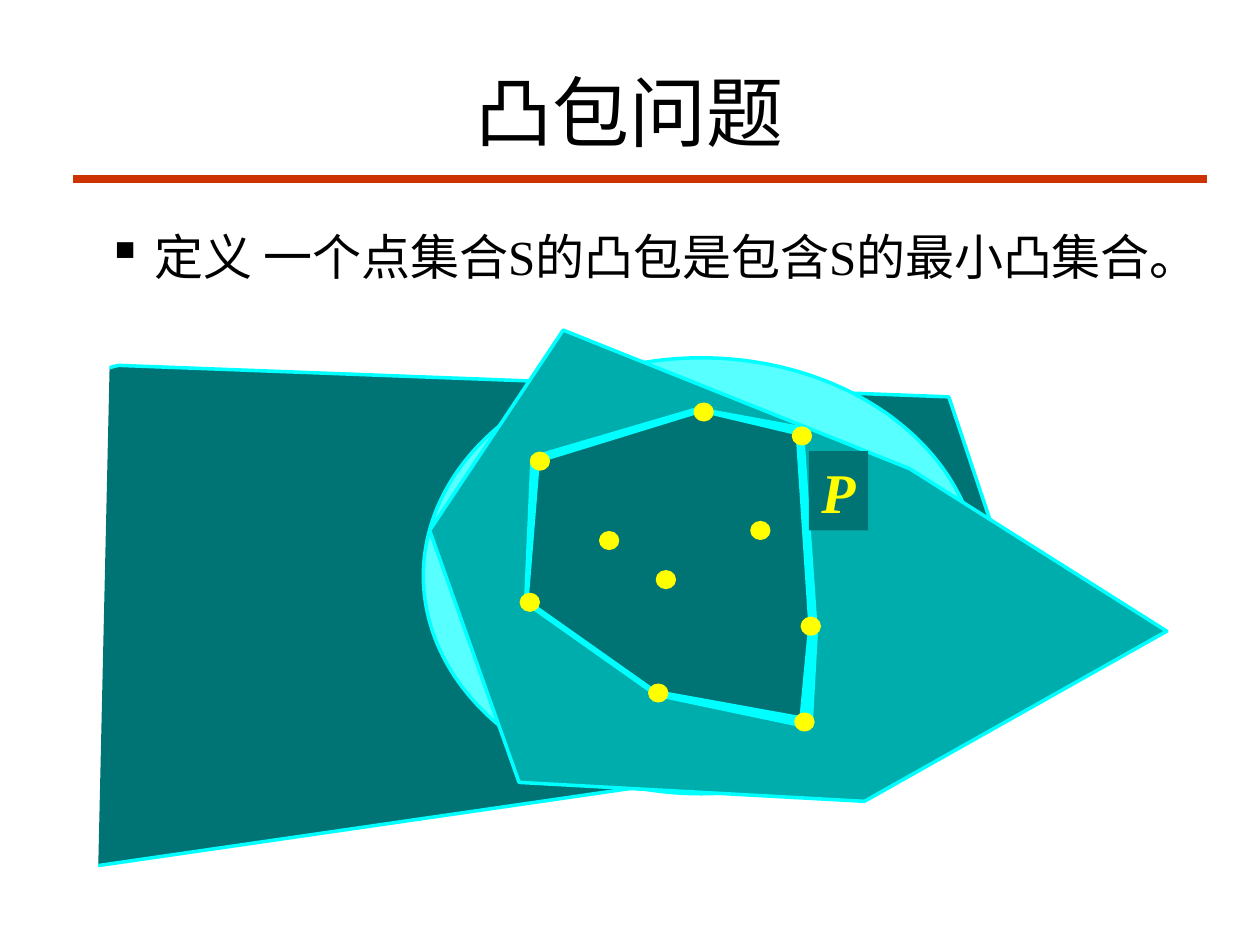
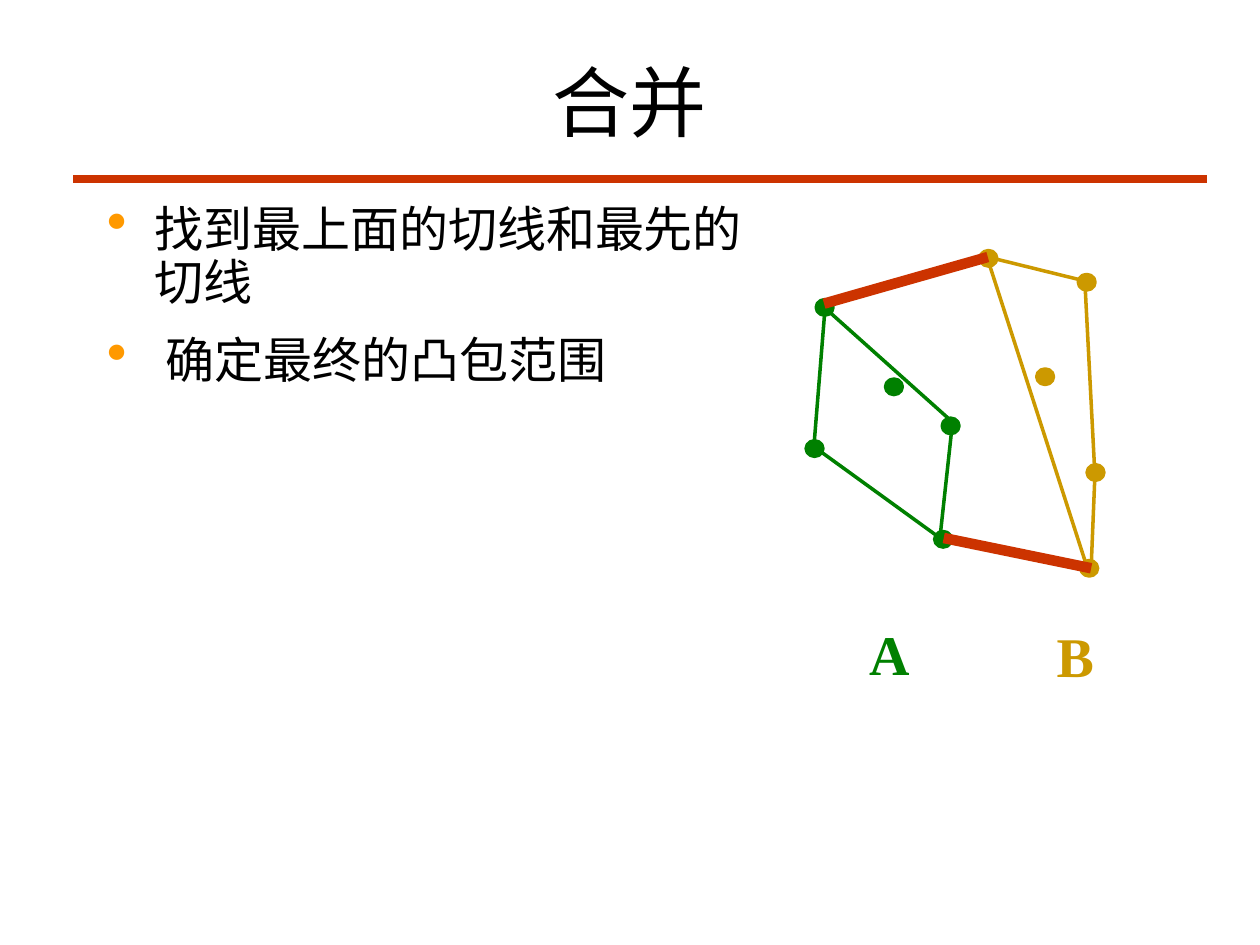
from itertools import pairwise

from lxml import etree
from pptx import Presentation, util as u
from pptx.dml.color import RGBColor
from pptx.enum import shapes, text
from pptx.oxml import ns

BLACK = RGBColor(0x00, 0x00, 0x00)
RED = RGBColor(0xCC, 0x33, 0x00)
ORANGE = RGBColor(0xFF, 0x99, 0x00)
YELLOW = RGBColor(0xFF, 0xFF, 0x00)
GREEN = RGBColor(0x00, 0x80, 0x00)
GOLD = RGBColor(0xCC, 0x99, 0x00)
CYAN = RGBColor(0x00, 0xFF, 0xFF)
PALE_CYAN = RGBColor(0x58, 0xFF, 0xFF)
TEAL = RGBColor(0x00, 0xAD, 0xAD)
DARK_TEAL = RGBColor(0x00, 0x73, 0x74)
FONT = "Times New Roman"

# Slide 1: nested sets around the points
DEFINITION = ["定义 一个点集合S的凸包是包含S的最小凸集合。"]
OPEN_REGION = [(0.87, 2.92), (0.9, 2.91), (0.94, 2.9), (7.53, 3.15),
               (8.23, 5.24), (6.58, 6.03), (0.78, 6.87)]
ELLIPSE = (3.36, 2.84, 4.41, 3.46)
CONVEX_REGION = [(3.41, 4.21), (4.12, 6.21), (6.86, 6.36), (9.26, 5.01),
                 (7.22, 3.72), (4.47, 2.62)]
HULL_BORDER = [(5.58, 3.26), (4.25, 3.65), (4.2, 4.77), (5.22, 5.49),
               (6.41, 5.74), (6.45, 5.02), (6.34, 3.42), (5.63, 3.29)]
HULL = [(4.18, 4.77), (5.2, 5.49), (6.36, 5.7), (6.43, 4.96),
        (6.33, 3.44), (5.57, 3.26), (4.27, 3.66)]

# Point set S, left and right halves, as top-left corners of the dots
LEFT_POINTS = [(4.22, 3.6), (4.14, 4.72), (4.77, 4.23), (5.22, 4.54), (5.16, 5.44)]
RIGHT_POINTS = [(5.52, 3.21), (5.97, 4.15), (6.3, 3.4), (6.37, 4.91), (6.32, 5.67)]
DOT_WIDTH, DOT_HEIGHT = 0.13, 0.12

# Slide 2: the same points, moved, as two hulls joined by tangents
STEPS = ["找到最上面的切线和最先的切线", " 确定最终的凸包范围"]
MERGE_SHIFT = (2.26, -1.22)
HULL_A_EDGES = [((6.55, 2.42), (6.46, 3.54)), ((6.48, 3.56), (7.46, 4.27)),
                ((7.46, 4.27), (7.56, 3.35)), ((7.56, 3.35), (6.52, 2.42))]
HULL_B_EDGES = [((7.84, 2.06), (8.64, 4.54)), ((8.66, 4.51), (8.69, 3.77)),
                ((8.69, 3.77), (8.61, 2.23)), ((8.61, 2.23), (7.84, 2.04))]
TANGENTS = [((6.54, 2.41), (7.84, 2.04)), ((7.49, 4.27), (8.66, 4.51))]
HULL_LABELS = [("A", (6.8, 4.87, 0.51, 0.63), GREEN),
               ("B", (8.28, 4.88, 0.51, 0.63), GOLD)]


def inches(values):
    return [u.Inches(value) for value in values]


def paint(shape, fill, line=None, width=2):
    shape.shadow.inherit = False
    shape.fill.solid()
    shape.fill.fore_color.rgb = fill
    if line is None:
        shape.line.fill.background()
    else:
        shape.line.color.rgb = line
        shape.line.width = u.Pt(width)


def add_bullet(paragraph, character, color=None, percent=None):
    properties = paragraph._p.get_or_add_pPr()
    properties.set("marL", str(u.Inches(0.38)))
    properties.set("indent", str(-u.Inches(0.38)))
    if color is not None:
        holder = etree.SubElement(properties, ns.qn("a:buClr"))
        etree.SubElement(holder, ns.qn("a:srgbClr"), val=str(color))
    if percent is not None:
        etree.SubElement(properties, ns.qn("a:buSzPct"), val=str(percent * 1000))
    etree.SubElement(properties, ns.qn("a:buChar"), char=character)


def write(shape, lines, size=28, color=BLACK, bold=False, italic=False, wrap=True,
          align=text.PP_ALIGN.LEFT, anchor=text.MSO_ANCHOR.TOP,
          line_spacing=None, space_before=None, bullet=None):
    frame = shape.text_frame
    frame.word_wrap = wrap
    frame.vertical_anchor = anchor
    for index, line in enumerate(lines):
        paragraph = frame.add_paragraph() if index else frame.paragraphs[0]
        paragraph.alignment = align
        if line_spacing is not None:
            paragraph.line_spacing = line_spacing
        if space_before is not None:
            paragraph.space_before = u.Pt(space_before)
        if bullet is not None:
            add_bullet(paragraph, **bullet)
        run = paragraph.add_run()
        run.text = line
        run.font.name = FONT
        run.font.size = u.Pt(size)
        run.font.color.rgb = color
        run.font.bold = bold
        run.font.italic = italic


def add_text(slide, box, lines, **style):
    write(slide.shapes.add_textbox(*inches(box)), lines, **style)


def add_lines(slide, edges, color, width):
    for start, end in edges:
        connector = slide.shapes.add_connector(
            shapes.MSO_CONNECTOR.STRAIGHT, *inches(start + end))
        connector.line.color.rgb = color
        connector.line.width = u.Pt(width)
        etree.SubElement(connector._element.spPr, ns.qn("a:effectLst"))


def add_polygon(slide, vertices, fill, width=2, close=True):
    start, *others = [inches(vertex) for vertex in vertices]
    builder = slide.shapes.build_freeform(*start)
    builder.add_line_segments(others, close=close)
    paint(builder.convert_to_shape(), fill, CYAN, width)


def add_dots(slide, points, color, shift=(0, 0)):
    for left, top in points:
        box = (left + shift[0], top + shift[1], DOT_WIDTH, DOT_HEIGHT)
        dot = slide.shapes.add_shape(shapes.MSO_SHAPE.OVAL, *inches(box))
        paint(dot, color, color, 2.25)


def add_titled_slide(presentation, title, title_top):
    slide = presentation.slides.add_slide(presentation.slide_layouts[6])
    add_lines(slide, [((0.58, 1.42), (9.58, 1.42))], RED, 4.5)
    add_text(slide, (0.75, title_top, 8.5, 1.25), [title], size=44,
             align=text.PP_ALIGN.CENTER, anchor=text.MSO_ANCHOR.MIDDLE)
    return slide


def build_problem_slide(presentation):
    slide = add_titled_slide(presentation, "凸包问题", 0.25)
    add_polygon(slide, OPEN_REGION, DARK_TEAL, close=False)
    add_text(slide, (0.75, 1.75, 9.17, 4.92), DEFINITION, space_before=5.6,
             bullet={"character": "▪"})
    ellipse = slide.shapes.add_shape(shapes.MSO_SHAPE.OVAL, *inches(ELLIPSE))
    paint(ellipse, PALE_CYAN, CYAN)
    add_polygon(slide, CONVEX_REGION, TEAL)
    add_lines(slide, pairwise(HULL_BORDER), CYAN, 6)
    label = slide.shapes.add_shape(
        shapes.MSO_SHAPE.RECTANGLE, *inches((6.42, 3.58, 0.47, 0.63)))
    paint(label, DARK_TEAL)
    write(label, ["P"], size=32, color=YELLOW, bold=True, italic=True,
          wrap=False, align=text.PP_ALIGN.CENTER)
    add_polygon(slide, HULL, DARK_TEAL, 2.25)
    add_dots(slide, LEFT_POINTS + RIGHT_POINTS, YELLOW)


def build_merge_slide(presentation):
    slide = add_titled_slide(presentation, "合并", 0.17)
    add_text(slide, (0.75, 1.58, 5.33, 5.08), STEPS, line_spacing=0.9, space_before=14,
             bullet={"character": "•", "color": ORANGE, "percent": 120})
    add_dots(slide, LEFT_POINTS, GREEN, MERGE_SHIFT)
    add_dots(slide, RIGHT_POINTS, GOLD, MERGE_SHIFT)
    add_lines(slide, HULL_A_EDGES, GREEN, 2)
    add_lines(slide, HULL_B_EDGES, GOLD, 2)
    for name, box, color in HULL_LABELS:
        add_text(slide, box, [name], size=32, color=color, bold=True,
                 align=text.PP_ALIGN.CENTER)
    add_lines(slide, TANGENTS, RED, 6)


def main():
    presentation = Presentation()
    presentation.slide_width, presentation.slide_height = inches((10, 7.5))
    build_problem_slide(presentation)
    build_merge_slide(presentation)
    presentation.save("out.pptx")


if __name__ == "__main__":
    main()
